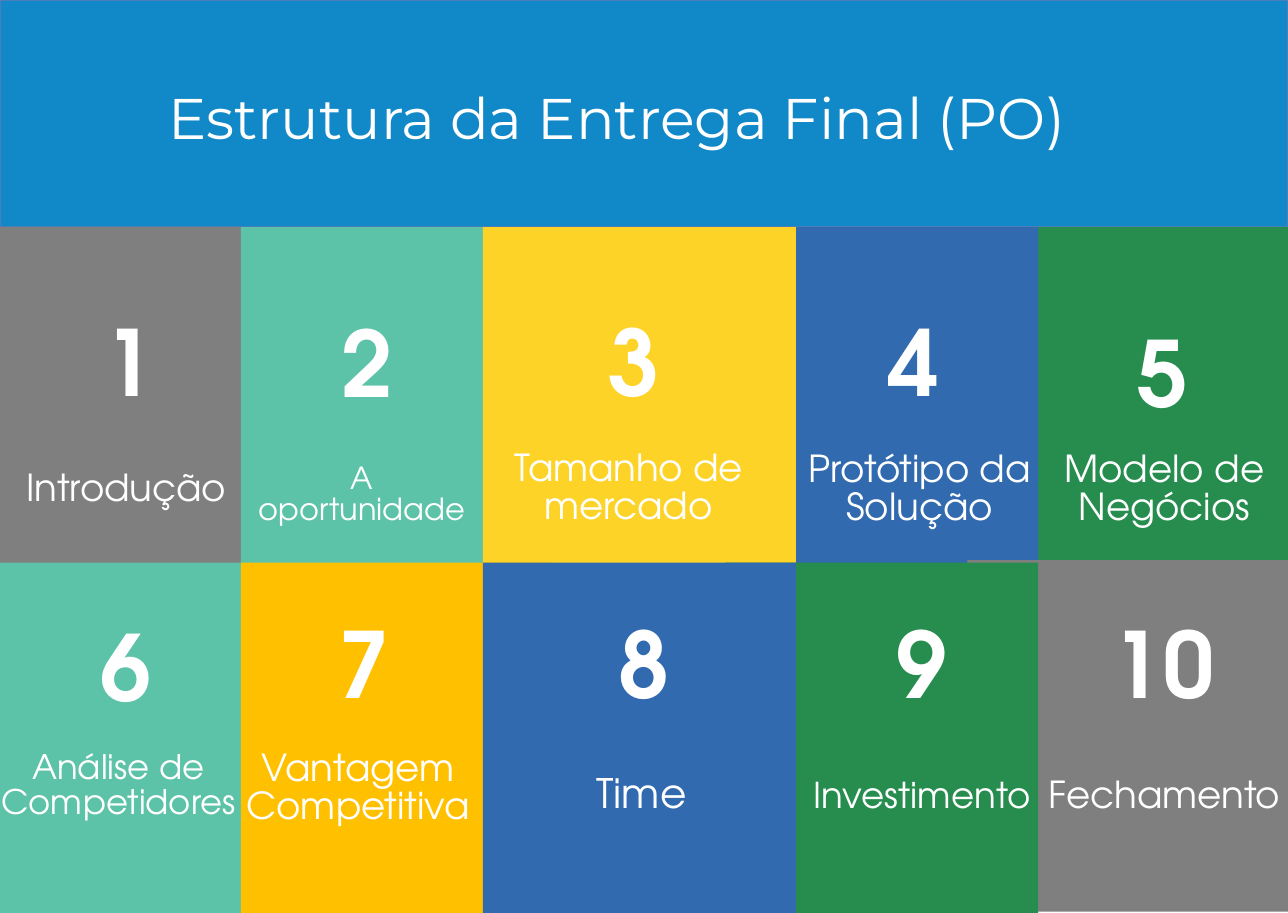
"""Build the ten-part overview of the final delivery as a numbered tile grid."""
from pptx import Presentation
from pptx.dml.color import RGBColor
from pptx.enum.shapes import MSO_SHAPE
from pptx.enum.text import MSO_ANCHOR, MSO_AUTO_SIZE, PP_ALIGN
from pptx.util import Inches, Pt

RECTANGLE = MSO_SHAPE.RECTANGLE
MIDDLE, TOP = MSO_ANCHOR.MIDDLE, MSO_ANCHOR.TOP
GROW = MSO_AUTO_SIZE.SHAPE_TO_FIT_TEXT
CENTER, LEFT = PP_ALIGN.CENTER, PP_ALIGN.LEFT

THEME = {
    "blue": "1188C7", "edge": "4A7DBA", "white": "FFFFFF", "gray": "7F7F7F",
    "green": "278D4E", "mint": "5DC3A8", "navy": "316AAF", "yellow": "FDD328",
    "amber": "FFC000", "heading": "Montserrat", "text": "TeX Gyre Adventor",
    "title_size": 32, "number_size": 51,
}
WIDTH, HEIGHT = 10, 7.09
BANNER_HEIGHT = 1.76
PITCH, TILE_WIDTH = 1.88, 2.43
COLUMN_LEFTS = [PITCH * column - 0.01 for column in range(4)]
STACKING = [4, 0, 1, 3, 2]
NUMBER_WIDTH, NUMBER_HEIGHT = 1.82, 0.83

ROWS = [
    {"top": 1.7, "height": 3.03, "last": (8.06, 1.7, 1.94, 2.65), "parts": [
        ("Introdução", "gray", (1, 2.86), (0.98, 3.81, 2.33, 0.4), 20.8),
        ("A oportunidade", "mint", (2.85, 2.87), (2.81, 3.85, 1.88, 0.59), 17),
        ("Tamanho de mercado", "yellow", (4.92, 2.86), (4.88, 3.8, 2.25, 0.7), 20.8),
        ("Protótipo da Solução", "navy", (7.1, 2.86), (7.14, 3.81, 2.25, 0.7), 20.8),
        ("Modelo de Negócios", "green", (9.03, 2.95), (9.04, 3.81, 2.25, 0.7), 20.8),
    ]},
    {"top": 4.37, "height": 2.72, "last": (7.51, 4.35, 2.49, 2.73), "parts": [
        ("Análise de Competidores", "mint", (0.98, 5.23), (0.92, 6.11, 2.78, 0.64), 18.9),
        ("Vantagem Competitiva", "amber", (2.83, 5.21), (2.78, 6.13, 2.66, 0.7), 20.8),
        ("Time", "navy", (5, 5.21), (4.98, 6.18, 2.65, 0.43), 22.7),
        ("Investimento", "green", (7.16, 5.21), (7.16, 6.19, 2.65, 0.38), 19.9),
        ("Fechamento", "gray", (9.03, 5.21), (9.04, 6.19, 2.66, 0.4), 20.8),
    ]},
]


def add_block(box, fill):
    block = slide.shapes.add_shape(RECTANGLE, *map(Inches, box))
    block.shadow.inherit = False
    block.fill.solid()
    block.fill.fore_color.rgb = RGBColor.from_string(THEME[fill])
    block.line.fill.background()
    return block


def write(holder, text, size, font="text", bold=False, align=CENTER, anchor=MIDDLE, spacing=0.85):
    frame = holder.text_frame
    frame.text = text
    paragraph = frame.paragraphs[0]
    formats = [
        (frame, {"word_wrap": True, "auto_size": GROW, "vertical_anchor": anchor}),
        (paragraph, {"alignment": align, "line_spacing": spacing}),
        (paragraph.runs[0].font, {"name": THEME[font], "size": Pt(size), "bold": bold}),
    ]
    for target, values in formats:
        for attribute, value in values.items():
            setattr(target, attribute, value)
    paragraph.runs[0].font.color.rgb = RGBColor.from_string(THEME["white"])


deck = Presentation()
deck.slide_width, deck.slide_height = Inches(WIDTH), Inches(HEIGHT)
slide = deck.slides.add_slide(deck.slide_layouts[5])

for row in ROWS:
    boxes = [(left, row["top"], TILE_WIDTH, row["height"]) for left in COLUMN_LEFTS]
    boxes.append(row["last"])
    for column in STACKING:
        add_block(boxes[column], row["parts"][column][1])

parts = [part for row in ROWS for part in row["parts"]]
for number, (label, _, number_center, label_box, label_size) in enumerate(parts, 1):
    number_box = (*number_center, NUMBER_WIDTH, NUMBER_HEIGHT)
    entries = [(str(number), number_box, THEME["number_size"], True),
               (label, label_box, label_size, False)]
    for text, (center_x, center_y, width, height), size, bold in entries:
        holder = slide.shapes.add_textbox(
            Inches(center_x - width / 2), Inches(center_y - height / 2),
            Inches(width), Inches(height))
        write(holder, text, size, bold=bold)

banner = add_block((0, 0, WIDTH, BANNER_HEIGHT), "blue")
banner.line.color.rgb = RGBColor.from_string(THEME["edge"])
banner.line.width = Pt(0.75)

title = slide.shapes.title
banner.element.addnext(title.element)
title_place = {"left": 1.21, "top": 0.59, "width": 8.69, "height": 0.64}
for attribute, value in title_place.items():
    setattr(title, attribute, Inches(value))
write(title, "Estrutura da Entrega Final (PO)", THEME["title_size"], "heading",
      align=LEFT, anchor=TOP, spacing=1)

deck.save("out.pptx")
